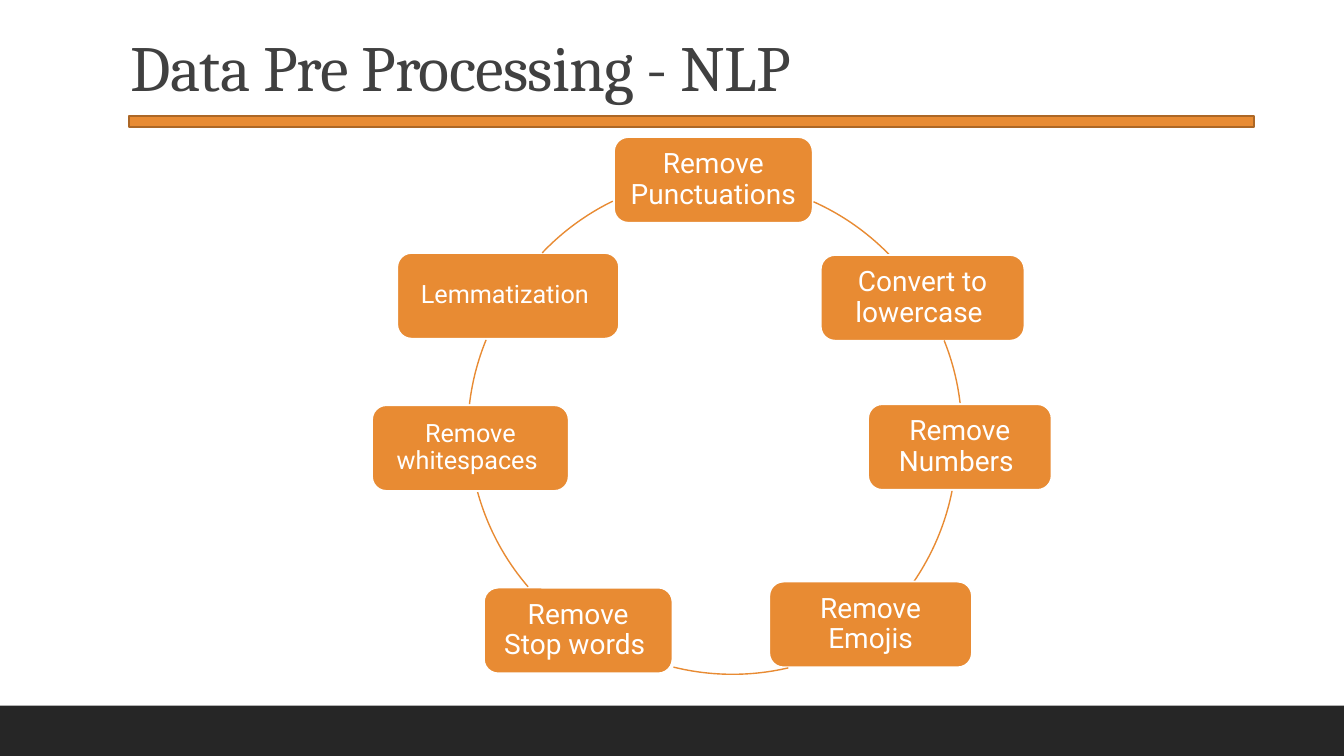
from math import atan2, degrees

from pptx import Presentation
from pptx import util as u
from pptx.dml.color import RGBColor
from pptx.enum import shapes, text

COLORS = {
    "accent": "E88B33",
    "accent_edge": "AC6726",
    "band": "262626",
    "title": "404040",
    "white": "FFFFFF",
}
COLUMNS, ROWS = 13.33, 7.5  # one-inch grid cells
STEP_HEIGHT = 0.85
RING = 4.87

# label, font size, left, top, width
STEPS = [
    ("Remove Punctuations", 20, 6.09, 1.36, 1.97),
    ("Convert to lowercase ", 20, 8.14, 2.53, 2.02),
    ("Remove Numbers ", 20, 8.61, 4.01, 1.82),
    ("Remove Emojis", 20, 7.63, 5.77, 2.01),
    ("Remove Stop words ", 20, 4.8, 5.83, 1.87),
    ("Remove whitespaces ", 18, 3.69, 4.02, 1.95),
    ("Lemmatization ", 18, 3.94, 2.51, 2.2),
]
# ring left and top, start point, end point (clockwise)
LINKS = [
    (4.64, 1.79, (8.07, 2), (8.82, 2.52)),
    (4.67, 1.85, (9.36, 3.38), (9.52, 4)),
    (4.62, 1.96, (9.44, 4.87), (9.07, 5.77)),
    (4.83, 1.82, (7.82, 6.63), (6.68, 6.62)),
    (4.65, 1.8, (5.24, 5.82), (4.74, 4.88)),
    (4.64, 1.86, (4.66, 4.01), (4.82, 3.37)),
    (4.71, 1.75, (5.38, 2.51), (6.08, 2)),
]


class CycleSlide:
    """Style and current slide, with lengths in grid columns and rows."""

    def __init__(self):
        self.deck = Presentation()
        self.deck.slide_width = u.Inches(COLUMNS)
        self.deck.slide_height = u.Inches(ROWS)
        self.page = self.deck.slides.add_slide(self.deck.slide_layouts[6])

    def color(self, name):
        return RGBColor.from_string(COLORS[name])

    def shape(self, kind, place, fill=None, line=None, weight=1.25):
        box = self.page.shapes.add_shape(kind, *map(u.Inches, place))
        box.shadow.inherit = False
        if fill:
            box.fill.solid()
            box.fill.fore_color.rgb = self.color(fill)
        else:
            box.fill.background()
        if line:
            box.line.color.rgb = self.color(line)
            box.line.width = u.Pt(weight)
        else:
            box.line.fill.background()
        return box

    def bar(self, place, fill, line=None):
        self.shape(shapes.MSO_SHAPE.RECTANGLE, place, fill, line)

    def label(self, box, words, font, size, color):
        box.text_frame.word_wrap = True
        para = box.text_frame.paragraphs[0]
        para.line_spacing = 0.9
        span = para.add_run()
        span.text = words
        span.font.name = font
        span.font.size = u.Pt(size)
        span.font.color.rgb = self.color(color)
        return para

    def title(self, words, place):
        box = self.page.shapes.add_textbox(*map(u.Inches, place))
        para = self.label(box, words, "Cambria", 46, "title")
        para.runs[0].font._element.set("spc", "-50")

    def step(self, words, size, left, top, width):
        place = left, top, width, STEP_HEIGHT
        box = self.shape(shapes.MSO_SHAPE.ROUNDED_RECTANGLE, place, "accent", "white")
        frame = box.text_frame
        frame.margin_left = frame.margin_right = u.Inches(size / 250)
        frame.margin_top = frame.margin_bottom = u.Inches(size / 250)
        frame.vertical_anchor = text.MSO_ANCHOR.MIDDLE
        para = self.label(box, words, "Roboto", size, "white")
        para.alignment = text.PP_ALIGN.CENTER

    def link(self, left, top, *ends):
        """Draw the part of a ring that lies between two points."""
        arc = self.shape(shapes.MSO_SHAPE.ARC, (left, top, RING, RING), line="accent", weight=1)
        for index, (x, y) in enumerate(ends):
            angle = degrees(atan2(y - top - RING / 2, x - left - RING / 2)) % 360
            arc.adjustments[index] = angle * 0.6  # 60000ths of a degree, over 100000


def main():
    slide = CycleSlide()
    slide.bar((0, 7, COLUMNS, 0.5), "band")
    slide.title("Data Pre Processing - NLP", (1.2, 0.31, 11, 1.05))
    slide.bar((1.28, 1.15, 11.16, 0.11), "accent", "accent_edge")
    for step, link in zip(STEPS, LINKS):
        slide.step(*step)
        slide.link(*link)
    slide.deck.save("out.pptx")


if __name__ == "__main__":
    main()
